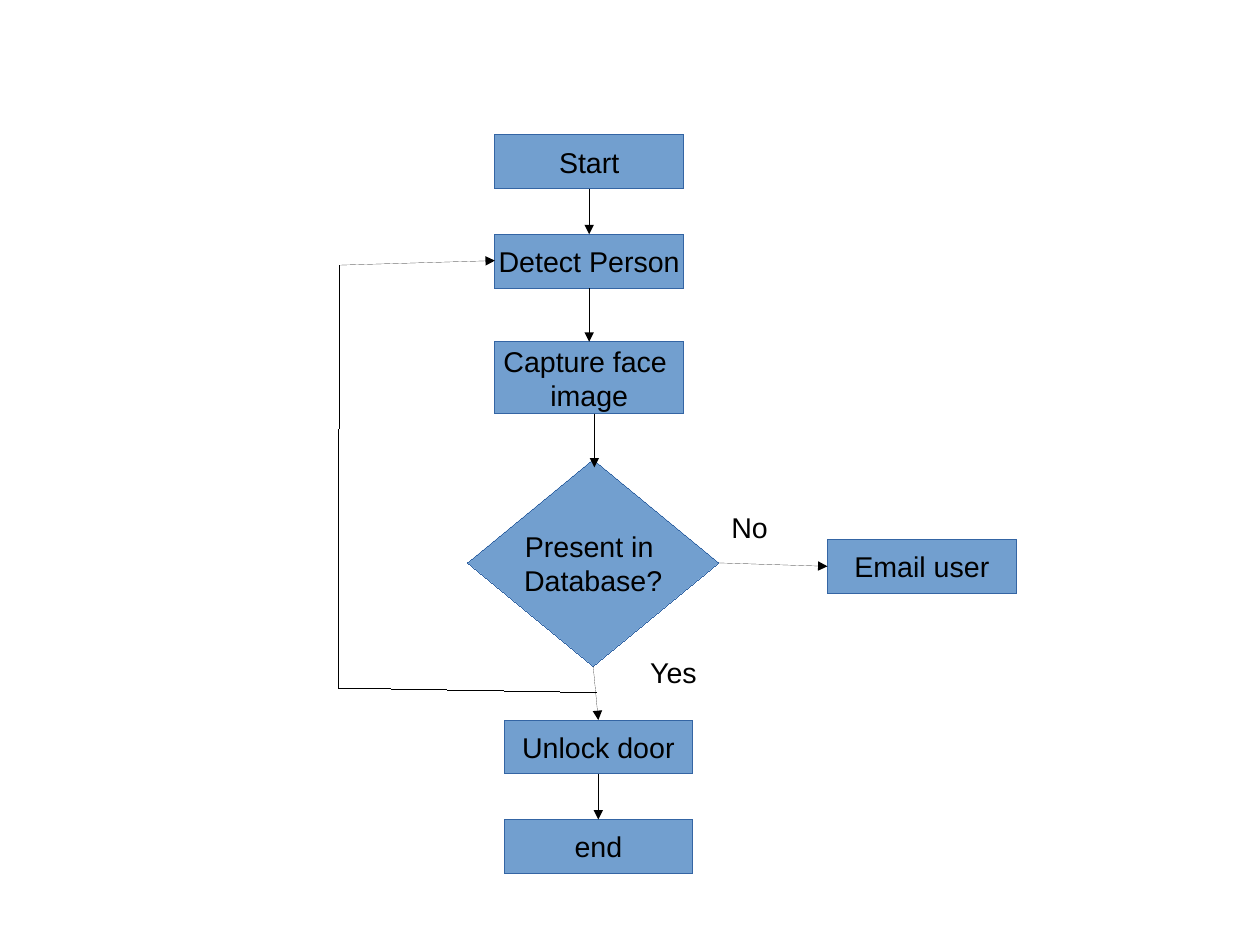
from pptx import Presentation
from pptx.dml.color import RGBColor
from pptx.enum import shapes, text
from pptx.oxml import ns, xmlchemy
from pptx.util import Inches, Pt

CM_PER_INCH = 2.54
COLORS = {"fill": "729FCF", "outline": "3465A4", "ink": "000000"}
FONT = {"name": "Arial", "size": Pt(18)}
PROCESS = shapes.MSO_SHAPE.FLOWCHART_PROCESS
DECISION = shapes.MSO_SHAPE.FLOWCHART_DECISION
TOP, LEFT, BOTTOM, RIGHT = range(4)  # connection sites

# name: (preset, left, top, width, height, lines)
STEPS = {
    "start": (PROCESS, 4.33, 1.18, 1.65, 0.47, ["Start"]),
    "detect": (PROCESS, 4.33, 2.05, 1.65, 0.47, ["Detect Person"]),
    "capture": (PROCESS, 4.33, 2.99, 1.65, 0.63, ["Capture face ", "image"]),
    "present": (DECISION, 4.09, 4.02, 2.2, 1.81, ["Present in ", "Database?"]),
    "unlock": (PROCESS, 4.41, 6.3, 1.65, 0.47, ["Unlock door"]),
    "email": (PROCESS, 7.24, 4.72, 1.65, 0.47, ["Email user"]),
    "end": (PROCESS, 4.41, 7.17, 1.65, 0.47, ["end"]),
}
LINKS = [
    ("start", BOTTOM, "detect", TOP),
    ("detect", BOTTOM, "capture", TOP),
    ("present", RIGHT, "email", LEFT),
    ("present", BOTTOM, "unlock", TOP),
    ("unlock", BOTTOM, "end", TOP),
]
CAPTURE_ARROW = [(5.2, 3.62), (5.2, 4.09)]
RETURN_PATH = [(5.22, 6.06), (2.96, 6.02), (2.97, 2.32), (4.33, 2.28)]
ANSWERS = [("No", 6.3, 4.41), ("Yes", 5.59, 5.68)]


def color(name):
    return RGBColor.from_string(COLORS[name])


def set_hairline(shape, name):
    """Colour the line and write its zero width, which overrides the theme's."""
    shape.line.color.rgb = color(name)
    outline = shape._element.find(ns.qn("p:spPr")).find(ns.qn("a:ln"))
    outline.set("w", "0")
    return outline


def write(frame, lines, alignment):
    frame.text = "\n".join(lines)
    for paragraph in frame.paragraphs:
        paragraph.alignment = alignment
        for key, value in FONT.items():
            setattr(paragraph.font, key, value)
        paragraph.font.color.rgb = color("ink")


def add_step(slide, preset, left, top, width, height, lines):
    shape = slide.shapes.add_shape(
        preset, Inches(left), Inches(top), Inches(width), Inches(height))
    shape.fill.solid()
    shape.fill.fore_color.rgb = color("fill")
    set_hairline(shape, "outline")
    shape.shadow.inherit = False
    frame = shape.text_frame
    frame.word_wrap = False
    frame.vertical_anchor = text.MSO_ANCHOR.MIDDLE
    write(frame, lines, text.PP_ALIGN.CENTER)
    return shape


def add_line(slide, start=(0, 0), finish=(0, 0), arrow=True):
    points = [Inches(value) for value in (*start, *finish)]
    line = slide.shapes.add_connector(shapes.MSO_CONNECTOR.STRAIGHT, *points)
    outline = set_hairline(line, "ink")
    if arrow:
        head = xmlchemy.OxmlElement("a:tailEnd")
        head.set("type", "triangle")
        outline.append(head)
    properties = line._element.find(ns.qn("p:spPr"))
    properties.append(xmlchemy.OxmlElement("a:effectLst"))
    return line


def add_answer(slide, label, left, top):
    box = slide.shapes.add_textbox(
        Inches(left), Inches(top), Inches(0.63), Inches(0.38))
    box.text_frame.word_wrap = True
    write(box.text_frame, [label], text.PP_ALIGN.LEFT)


def add_flowchart(slide):
    steps = {name: add_step(slide, *step) for name, step in STEPS.items()}
    for source, source_site, target, target_site in LINKS:
        line = add_line(slide)
        line.begin_connect(steps[source], source_site)
        line.end_connect(steps[target], target_site)
    add_line(slide, *CAPTURE_ARROW)
    for answer in ANSWERS:
        add_answer(slide, *answer)
    for start, finish in zip(RETURN_PATH, RETURN_PATH[1:]):
        add_line(slide, start, finish, arrow=finish == RETURN_PATH[-1])


def main():
    presentation = Presentation()
    presentation.slide_width = Inches(28 / CM_PER_INCH)
    presentation.slide_height = Inches(21 / CM_PER_INCH)
    add_flowchart(presentation.slides.add_slide(presentation.slide_layouts[6]))
    presentation.save("out.pptx")


if __name__ == "__main__":
    main()
